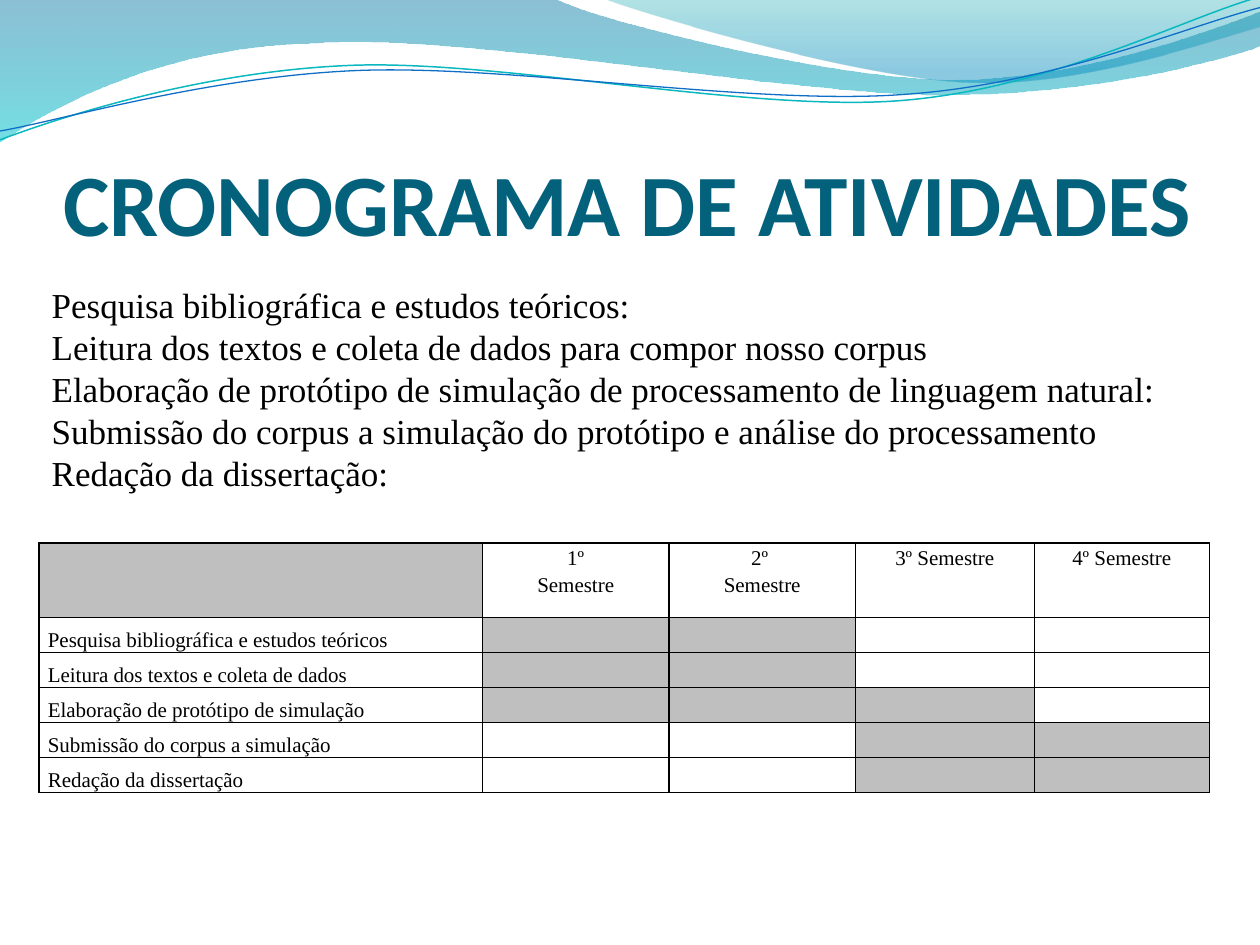
from dataclasses import dataclass
from math import cos, radians, sin

from lxml import etree
from pptx import Presentation
from pptx.dml.color import RGBColor
from pptx.enum.text import MSO_ANCHOR, MSO_AUTO_SIZE, PP_ALIGN
from pptx.oxml.ns import qn
from pptx.util import Inches, Pt

TOP, BOTTOM = MSO_ANCHOR.TOP, MSO_ANCHOR.BOTTOM
LEFT, CENTER, JUSTIFY = PP_ALIGN.LEFT, PP_ALIGN.CENTER, PP_ALIGN.JUSTIFY
NO_FIT = MSO_AUTO_SIZE.NONE
COLUMNS = 10  # grid squares across the slide


@dataclass(frozen=True)
class Theme:
    heading_font: str = "Calibri"
    body_font: str = "Times New Roman"
    heading: str = "04617B"
    ink: str = "000000"
    shade: str = "BFBFBF"
    teal_line: str = "0AB8BF"
    blue_line: str = "0F6FC6"
    # Gradient stops: position, colour, opacity in percent
    wave: tuple = ((0, "0074A1", 45), (1, "00C6CF", 55))
    crest: tuple = ((0, "00A1A9", 30), (0.8, "008BBF", 45))
    title_size: int = 50
    body_size: int = 20
    body_leading: int = 24
    table_size: int = 12


def rgb(color):
    return RGBColor.from_string(color)


class Deck:
    def __init__(self, theme):
        self.theme = theme
        self.prs = Presentation()
        self.prs.slide_width, self.prs.slide_height = Inches(10), Inches(7.5)
        self.unit = self.prs.slide_width / COLUMNS
        self.s = self.prs.slides.add_slide(self.prs.slide_layouts[1])

    def grid(self, *lengths):
        return [round(n * self.unit) for n in lengths]

    def run(self, p, text, font, size, color, bold=False):
        r = p.add_run()
        r.text = text
        r.font.name, r.font.size, r.font.bold = font, Pt(size), bold
        r.font.color.rgb = rgb(color)

    def place(self, sp, box, anchor, insets, wrap):
        self.s.shapes._spTree.append(sp._element)  # bring to front
        sp.left, sp.top, sp.width, sp.height = self.grid(*box)
        tf = sp.text_frame
        tf.auto_size, tf.word_wrap, tf.vertical_anchor = NO_FIT, wrap, anchor
        tf.margin_left, tf.margin_top, tf.margin_right, tf.margin_bottom = map(Inches, insets)
        return tf

    def title(self, text, box):
        t = self.theme
        tf = self.place(self.s.shapes.title, box, BOTTOM, (0, 0.05, 0, 0), True)
        p = tf.paragraphs[0]
        p.alignment = LEFT
        self.run(p, text, t.heading_font, t.title_size, t.heading, bold=True)

    def body(self, lines, box):
        t = self.theme
        tf = self.place(self.s.placeholders[1], box, TOP, (0.1, 0.06, 0.1, 0.05), False)
        for i, line in enumerate(lines):
            p = tf.add_paragraph() if i else tf.paragraphs[0]
            p.alignment, p.line_spacing = LEFT, Pt(t.body_leading)
            p.space_before = p.space_after = Pt(0)
            pPr = p._p.get_or_add_pPr()
            pPr.set("marL", "0")
            pPr.set("indent", "0")
            etree.SubElement(pPr, qn("a:buNone"))
            self.run(p, line, t.body_font, t.body_size, t.ink)

    def freeform(self, box, start, segments, close, turn=0):
        """Outline of lines (x, y) and cubic curves (three x, y pairs)."""
        fb = self.s.shapes.build_freeform(*self.grid(*start), scale=1.0)
        fb.add_line_segments([self.grid(*seg[-2:]) for seg in segments], close=close)
        sp = fb.convert_to_shape()
        sp.left, sp.top, sp.width, sp.height = self.grid(*box)
        sp.rotation = turn
        sp.shadow.inherit = False
        outline = next(sp._element.iter(qn("a:path")))
        outline.set("w", str(sp.width))
        outline.set("h", str(sp.height))
        # Points go into the box's own axes, before it is turned
        left, top, width, height = box
        c, s = cos(radians(turn)), sin(radians(turn))
        for step, seg in zip(list(outline), [start, *segments]):
            for pt in list(step):
                step.remove(pt)
            if len(seg) > 2:
                step.tag = qn("a:cubicBezTo")
            for x, y in zip(seg[::2], seg[1::2]):
                dx, dy = x - left - width / 2, y - top - height / 2
                px, py = self.grid(dx * c + dy * s + width / 2, dy * c - dx * s + height / 2)
                etree.SubElement(step, qn("a:pt"), x=str(px), y=str(py))
        return sp

    def band(self, box, start, segments, stops):
        sp = self.freeform(box, start, segments, True)
        sp.line.fill.background()
        sp.fill.gradient()
        sp.fill.gradient_angle = 270
        for stop, (position, color, _) in zip(sp.fill.gradient_stops, stops):
            stop.position, stop.color.rgb = position, rgb(color)
        for clr, (_, _, opacity) in zip(sp._element.iter(qn("a:srgbClr")), stops):
            etree.SubElement(clr, qn("a:alpha"), val=str(opacity * 1000))

    def curve(self, box, start, segments, color, width):
        sp = self.freeform(box, start, segments, False, turn=357.3)
        sp.fill.background()
        sp.line.color.rgb, sp.line.width = rgb(color), Pt(width)

    def cell(self, cell, text, shaded, align, spacing, inset):
        t = self.theme
        cell.margin_left = cell.margin_right = Inches(inset)
        cell.margin_top = cell.margin_bottom = 0
        tcPr = cell._tc.get_or_add_tcPr()
        for side in "LRTB":
            ln = etree.SubElement(tcPr, qn(f"a:ln{side}"), w=str(Pt(1)))
            etree.SubElement(etree.SubElement(ln, qn("a:solidFill")),
                             qn("a:srgbClr"), val=t.ink)
        if shaded:
            cell.fill.solid()
            cell.fill.fore_color.rgb = rgb(t.shade)
        else:
            cell.fill.background()
        p = cell.text_frame.paragraphs[0]
        if not text:  # keeps an empty row from growing
            etree.SubElement(p._p, qn("a:endParaRPr"), sz=str(t.table_size * 100))
            return
        p.alignment, p.line_spacing = align, spacing
        for i, line in enumerate(text.split("\n")):
            if i:
                p.add_line_break()
            self.run(p, line, t.body_font, t.table_size, t.ink)

    def schedule(self, headers, tasks, box, widths, head_height):
        frame = self.s.shapes.add_table(len(tasks) + 1, len(widths), *self.grid(*box))
        table = frame.table
        table.first_row = table.horz_banding = False
        for col, width in zip(table.columns, self.grid(*widths)):
            col.width = width
        # Task rows grow to fit their text
        for row, height in zip(table.rows, self.grid(head_height, *[0] * len(tasks))):
            row.height = height
        frame.width, frame.height = self.grid(*box[2:])
        for c, text in enumerate(headers):
            self.cell(table.cell(0, c), text, not text, CENTER, 1.15, 0.05)
        for r, (task, active) in enumerate(tasks, 1):
            for c in range(len(widths)):
                self.cell(table.cell(r, c), "" if c else task, c in active,
                          JUSTIFY, 1.5, 0.07)


def main():
    theme = Theme()
    deck = Deck(theme)

    # Waves along the top
    deck.band((-0.01, -0.01, 10.02, 1.14), (0, 0),
              [(4.4, -0.01), (4.76, 0.17, 6.64, 0.63, 7.58, 0.63),
               (8.53, 0.63, 9.58, 0.26, 10, 0.09), (10.01, 0.36),
               (9.83, 0.44, 8.7, 0.76, 7.46, 0.75), (6.22, 0.75, 3.82, 0.28, 2.57, 0.34),
               (1.29, 0.36, 0.46, 0.83, -0.01, 1.13), (0, 0)], theme.wave)
    deck.band((4.79, -0.01, 5.21, 0.7), (4.79, -0.01),
              [(5.09, 0.11, 6.82, 0.62, 7.69, 0.65), (8.56, 0.69, 9.61, 0.32, 10, 0.21),
               (10, 0), (4.79, -0.01)], theme.crest)
    deck.curve((-0.02, 0.22, 10.02, 0.71), (0, 1.11),
               [(0.48, 0.93, 1.58, 0.57, 2.77, 0.52), (3.95, 0.47, 5.93, 0.89, 7.13, 0.8),
                (8.33, 0.71, 9.38, 0.15, 9.98, -0.02)], theme.teal_line, 0.85)
    deck.curve((-0.02, 0.3, 10.03, 0.58), (0, 1.04),
               [(0.47, 0.96, 1.64, 0.61, 2.83, 0.56), (4.03, 0.51, 5.97, 0.84, 7.17, 0.75),
                (8.36, 0.67, 9.41, 0.21, 10, 0.06)], theme.blue_line, 0.75)

    # Title
    deck.title("CRONOGRAMA DE ATIVIDADES", (0.5, 0.77, 9, 1.25))

    # Schedule: each task with its active semesters
    deck.schedule(["", "1º\nSemestre", "2º \nSemestre", "3º Semestre", "4º Semestre"],
                  [("Pesquisa bibliográfica e estudos teóricos", (1, 2)),
                   ("Leitura dos textos e coleta de dados", (1, 2)),
                   ("Elaboração de protótipo de simulação", (1, 2, 3)),
                   ("Submissão do corpus a simulação ", (3, 4)),
                   ("Redação da dissertação ", (3, 4))],
                  (0.31, 4.31, 9.3, 2.09), (3.52, 1.48, 1.48, 1.42, 1.39), 0.59)

    # List of activities
    deck.body(["Pesquisa bibliográfica e estudos teóricos:",
               "Leitura dos textos e coleta de dados para compor nosso corpus",
               "Elaboração de protótipo de simulação de processamento de linguagem natural:",
               "Submissão do corpus a simulação do protótipo e análise do processamento",
               "Redação da dissertação:"], (0.31, 2.19, 9.08, 2.32))

    deck.prs.save("out.pptx")


if __name__ == "__main__":
    main()
